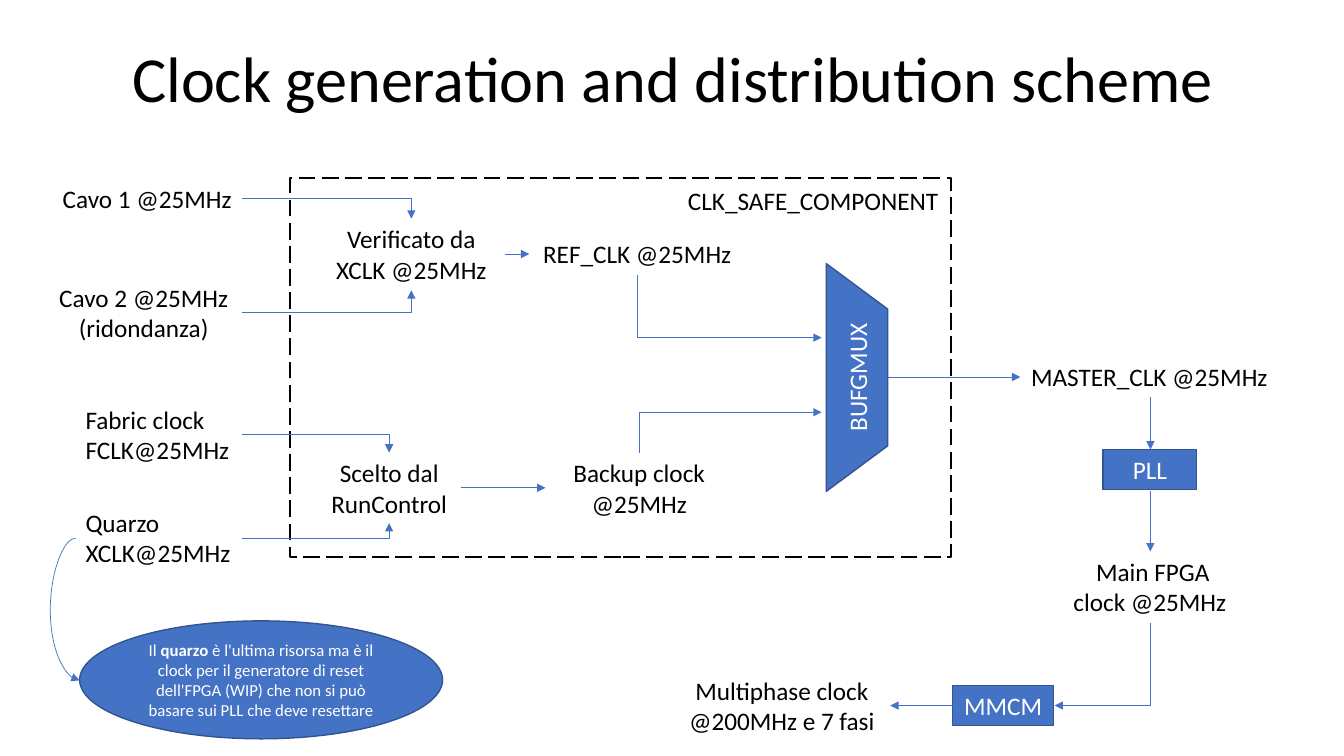
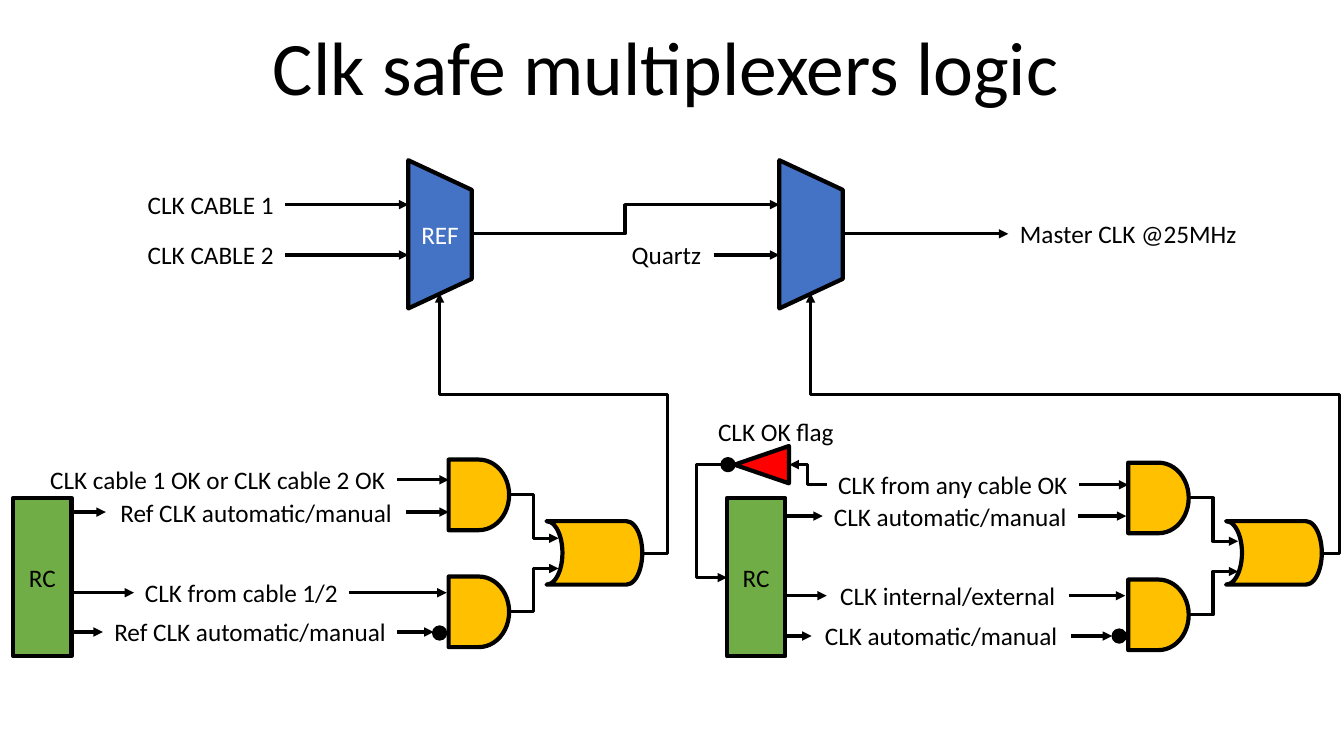
import lxml.etree
import pptx
import pptx.dml.color
import pptx.enum.dml
import pptx.enum.shapes
import pptx.enum.text
import pptx.oxml.ns
import pptx.util
from pptx.dml.color import RGBColor
from pptx.util import Inches

# Shared look
BLACK = RGBColor(0x00, 0x00, 0x00)
WHITE = RGBColor(0xFF, 0xFF, 0xFF)
BLUE = RGBColor(0x44, 0x72, 0xC4)
DARK_BLUE = RGBColor(0x32, 0x54, 0x91)
AMBER = RGBColor(0xFF, 0xC0, 0x00)
GREEN = RGBColor(0x70, 0xAD, 0x47)
RED = RGBColor(0xFF, 0x00, 0x00)
FONT = "Calibri"
BODY_SIZE = 18
THIN_BLUE = (BLUE, 0.5)
THICK_BLACK = (BLACK, 2.25)
BLUE_EDGE = (DARK_BLUE, 1)
BLACK_EDGE = (BLACK, 3)

SHAPE = pptx.enum.shapes.MSO_SHAPE
CONNECTOR = pptx.enum.shapes.MSO_CONNECTOR
ANCHOR = pptx.enum.text.MSO_ANCHOR
ALIGN = pptx.enum.text.PP_ALIGN
ELBOW_PRESETS = {3: "bentConnector2", 4: "bentConnector3", 5: "bentConnector4"}


def inches(*lengths):
    return [Inches(length) for length in lengths]


def add_xml(parent, tag, **attributes):
    lxml.etree.SubElement(parent, pptx.oxml.ns.qn(tag), attributes)


def format_paragraph(paragraph, size, color, align=ALIGN.CENTER):
    paragraph.alignment = align
    paragraph.font.name = FONT
    paragraph.font.size = pptx.util.Pt(size)
    paragraph.font.color.rgb = color


def add_title(slide, text, box, size, anchor, spacing):
    frame = slide.shapes.add_textbox(*inches(*box)).text_frame
    frame.word_wrap = True
    frame.vertical_anchor = anchor
    paragraph = frame.paragraphs[0]
    paragraph.text = text
    paragraph.line_spacing = spacing
    format_paragraph(paragraph, size, BLACK)


def add_label(slide, text, left, top, width, wrap=False, align=ALIGN.CENTER):
    height = 0.71 if wrap or "\n" in text else 0.4
    frame = slide.shapes.add_textbox(*inches(left, top, width, height)).text_frame
    frame.word_wrap = wrap
    frame.text = text
    for paragraph in frame.paragraphs:
        format_paragraph(paragraph, BODY_SIZE, BLACK, align)


def add_block(slide, kind, box, fill, edge, text="", color=WHITE, rotation=0):
    shape = slide.shapes.add_shape(kind, *inches(*box))
    shape.shadow.inherit = False
    shape.rotation = rotation
    if fill is None:
        shape.fill.background()
    else:
        shape.fill.solid()
        shape.fill.fore_color.rgb = fill
    shape.line.color.rgb = edge[0]
    shape.line.width = pptx.util.Pt(edge[1])
    if text:
        shape.text_frame.text = text
        shape.text_frame.vertical_anchor = ANCHOR.MIDDLE
        format_paragraph(shape.text_frame.paragraphs[0], BODY_SIZE, color)
    return shape


def add_wire(slide, style, *points, curved=False):
    """Arrow along right-angled points, pointing at the last one."""
    arrow_end = "a:tailEnd"
    if len(points) > 2 and points[0][0] == points[1][0]:
        # Elbow presets leave horizontally, so draw from the other end
        points = points[::-1]
        arrow_end = "a:headEnd"
    start, end = points[0], points[-1]
    kind = CONNECTOR.STRAIGHT
    if len(points) > 2:
        kind = CONNECTOR.CURVE if curved else CONNECTOR.ELBOW
    connector = slide.shapes.add_connector(kind, *inches(*start, *end))
    connector.line.color.rgb = style[0]
    connector.line.width = pptx.util.Pt(style[1])

    properties = connector._element.spPr
    if len(points) > 2:
        geometry = properties.find(pptx.oxml.ns.qn("a:prstGeom"))
        if not curved:
            geometry.set("prst", ELBOW_PRESETS[len(points)])
        guides = geometry.get_or_add_avLst()
        # Inner corners alternate between an x and a y position
        for number, corner in enumerate(points[1:-2], 1):
            axis = (number - 1) % 2
            share = (corner[axis] - start[axis]) / (end[axis] - start[axis])
            add_xml(guides, "a:gd", name=f"adj{number}",
                    fmla=f"val {round(share * 100000)}")
    add_xml(properties.find(pptx.oxml.ns.qn("a:ln")), arrow_end, type="triangle")
    add_xml(properties, "a:effectLst")


# Clock distribution slide
def build_distribution(slide):
    add_title(slide, "Clock generation and distribution scheme",
              (0.92, 0.17, 11.5, 1.02), 45.9, ANCHOR.BOTTOM, 0.8)

    # Signals
    for text, left, top, width in (
            ("Cavo 1 @25MHz", 0.52, 1.77, 1.88),
            ("Cavo 2 @25MHz\n(ridondanza)", 0.45, 2.75, 1.95),
            ("REF_CLK @25MHz", 5.25, 2.32, 2.14),
            ("Verificato da\nXCLK @25MHz", 3.15, 2.17, 1.86),
            ("Scelto dal\nRunControl", 3.15, 4.49, 1.42),
            ("MASTER_CLK @25MHz", 10.12, 3.54, 2.56),
            ("CLK_SAFE_COMPONENT", 6.71, 1.79, 2.71)):
        add_label(slide, text, left, top, width)
    for text, top in (("Fabric clock\nFCLK@25MHz", 3.96),
                      ("Quarzo\nXCLK@25MHz", 4.98)):
        add_label(slide, text, 0.75, top, 1.65, align=ALIGN.LEFT)
    for text, left, top, width in (
            ("Backup clock @25MHz", 5.41, 4.49, 1.86),
            (" Main FPGA clock @25MHz", 10.48, 5.47, 1.85),
            ("Multiphase clock @200MHz e 7 fasi", 6.67, 6.65, 2.17)):
        add_label(slide, text, left, top, width, wrap=True)

    # Components
    add_block(slide, SHAPE.FLOWCHART_MANUAL_OPERATION, (7.37, 3.44, 2.26, 0.61),
              BLUE, BLUE_EDGE, "BUFGMUX", rotation=270)
    add_block(slide, SHAPE.RECTANGLE, (10.94, 4.46, 0.93, 0.4), BLUE, BLUE_EDGE, "PLL")
    add_block(slide, SHAPE.RECTANGLE, (9.45, 6.8, 1, 0.4), BLUE, BLUE_EDGE, "MMCM")
    boundary = add_block(slide, SHAPE.RECTANGLE, (2.88, 1.77, 6.55, 3.76),
                         None, (BLACK, 1.5))
    boundary.line.dash_style = pptx.enum.dml.MSO_LINE.LONG_DASH

    # Remark on the quartz
    remark = add_block(slide, SHAPE.OVAL, (0.79, 6.16, 3.6, 1.17), BLUE, BLUE_EDGE)
    remark.text_frame.vertical_anchor = ANCHOR.MIDDLE
    paragraph = remark.text_frame.paragraphs[0]
    format_paragraph(paragraph, 12, WHITE)
    for text, bold in (("Il ", False), ("quarzo", True),
                       (" è l'ultima risorsa ma è il clock per il generatore di reset "
                        "dell'FPGA (WIP) che non si può basare sui PLL che deve "
                        "resettare", False)):
        run = paragraph.add_run()
        run.text = text
        run.font.bold = bold

    # Connections
    for points in (
            [(2.4, 1.97), (4.08, 1.97), (4.08, 2.17)],
            [(2.4, 3.1), (4.08, 3.1), (4.08, 2.88)],
            [(5.01, 2.52), (5.25, 2.52)],
            [(2.4, 4.31), (3.86, 4.31), (3.86, 4.49)],
            [(2.4, 5.34), (3.86, 5.34), (3.86, 5.19)],
            [(4.57, 4.84), (5.41, 4.84)],
            [(6.32, 2.73), (6.32, 3.35), (8.15, 3.35)],
            [(6.34, 4.49), (6.34, 4.09), (8.15, 4.09)],
            [(8.81, 3.74), (10.12, 3.74)],
            [(11.41, 3.94), (11.41, 4.46)],
            [(11.41, 4.87), (11.41, 5.47)],
            [(11.41, 6.18), (11.41, 7), (10.46, 7)],
            [(9.45, 7), (8.83, 7)]):
        add_wire(slide, THIN_BLUE, *points)
    add_wire(slide, THIN_BLUE, (0.75, 5.34), (0.5, 5.34), (0.5, 6.75), (0.79, 6.75),
             curved=True)


# Multiplexer logic slide
def add_multiplexer(slide, left, text=""):
    shape = add_block(slide, SHAPE.FLOWCHART_MANUAL_OPERATION,
                      (left - 0.42, 2.01, 1.47, 0.63), BLUE, BLACK_EDGE, text,
                      rotation=270)
    shape.text_frame._txBody.bodyPr.set("vert", "vert")


def add_bubble(slide, left, top):
    add_block(slide, SHAPE.OVAL, (left, top, 0.12, 0.12), BLACK, THICK_BLACK)


def add_select_logic(slide, gate_left, gate_top, loop_x, select_x):
    """Two AND gates into an OR gate that drives a multiplexer."""
    gate_right = gate_left + 0.6
    for top, input_y in ((gate_top, gate_top + 0.78),
                         (gate_top + 1.16, gate_top + 1.08)):
        add_block(slide, SHAPE.FLOWCHART_DELAY, (gate_left, top, 0.6, 0.7),
                  AMBER, BLACK_EDGE)
        add_wire(slide, THICK_BLACK, (gate_right, top + 0.35),
                 (gate_right + 0.24, top + 0.35), (gate_right + 0.24, input_y),
                 (gate_right + 0.49, input_y))
    add_bubble(slide, gate_left - 0.15, gate_top + 1.66)
    add_block(slide, SHAPE.FLOWCHART_STORED_DATA, (gate_left + 0.97, 5.17, 0.95, 0.63),
              AMBER, BLACK_EDGE, rotation=180)
    add_wire(slide, THICK_BLACK, (gate_left + 1.92, 5.49), (loop_x, 5.49),
             (loop_x, 3.91), (select_x, 3.91), (select_x, 2.91))


def add_run_control(slide, left, signals):
    add_block(slide, SHAPE.RECTANGLE, (left, 4.94, 0.58, 1.57), GREEN, BLACK_EDGE,
              "RC", BLACK)
    for text, label_left, top, width, gate_x, from_control in signals:
        middle = top + 0.2
        add_label(slide, text, label_left, top, width)
        add_wire(slide, THICK_BLACK, (label_left + width, middle), (gate_x, middle))
        if from_control:
            add_wire(slide, THICK_BLACK, (left + 0.58, middle), (label_left, middle))


def build_multiplexers(slide):
    add_title(slide, "Clk safe multiplexers logic", (1.99, 0.05, 9.23, 1.31),
              54, ANCHOR.MIDDLE, 0.9)

    # Multiplexer chain
    add_multiplexer(slide, 4.05, "REF")
    add_multiplexer(slide, 7.73)
    for text, left, top, width, target in (("CLK CABLE 1", 1.35, 1.83, 1.48, 4.05),
                                           ("CLK CABLE 2", 1.35, 2.33, 1.48, 4.05),
                                           ("Quartz", 6.14, 2.33, 0.94, 7.73)):
        add_label(slide, text, left, top, width)
        add_wire(slide, THICK_BLACK, (left + width, top + 0.2), (target, top + 0.2))
    add_wire(slide, THICK_BLACK, (4.68, 2.32), (6.2, 2.32), (6.2, 2.03), (7.73, 2.03))
    add_wire(slide, THICK_BLACK, (8.36, 2.32), (10, 2.32))
    add_label(slide, "Master CLK @25MHz", 10, 2.12, 2.38)

    # Cable selection
    add_select_logic(slide, 4.45, 4.56, 6.62, 4.36)
    add_run_control(slide, 0.13, (
        ("CLK cable 1 OK or CLK cable 2 OK", 0.38, 4.56, 3.56, 4.45, False),
        ("Ref CLK automatic/manual", 1.05, 4.88, 2.98, 4.45, True),
        ("CLK from cable 1/2", 1.33, 5.68, 2.13, 4.43, True),
        ("Ref CLK automatic/manual", 1.02, 6.07, 2.92, 4.3, True)))

    # Master selection
    add_select_logic(slide, 11.19, 4.59, 13.28, 8.04)
    add_run_control(slide, 7.21, (
        ("CLK from any cable OK", 8.2, 4.61, 2.5, 11.19, False),
        ("CLK automatic/manual", 8.16, 4.92, 2.53, 11.17, True),
        ("CLK internal/external", 8.2, 5.71, 2.4, 11.16, True),
        ("CLK automatic/manual", 8.05, 6.11, 2.57, 11.03, True)))

    # Inverted flag back to the run control
    add_label(slide, "CLK OK flag", 7, 4.08, 1.39)
    add_block(slide, SHAPE.ISOSCELES_TRIANGLE, (7.37, 4.34, 0.37, 0.54), RED,
              BLACK_EDGE, rotation=270)
    add_bubble(slide, 7.16, 4.55)
    add_wire(slide, THICK_BLACK, (8.2, 4.81), (8.01, 4.81), (8.01, 4.61), (7.83, 4.61))
    add_wire(slide, THICK_BLACK, (7.16, 4.61), (6.91, 4.61), (6.91, 5.73), (7.21, 5.73))


def main():
    presentation = pptx.Presentation()
    presentation.slide_width = Inches(13.33)
    presentation.slide_height = Inches(7.5)
    for build in (build_distribution, build_multiplexers):
        build(presentation.slides.add_slide(presentation.slide_layouts[6]))
    presentation.save("out.pptx")


if __name__ == "__main__":
    main()
